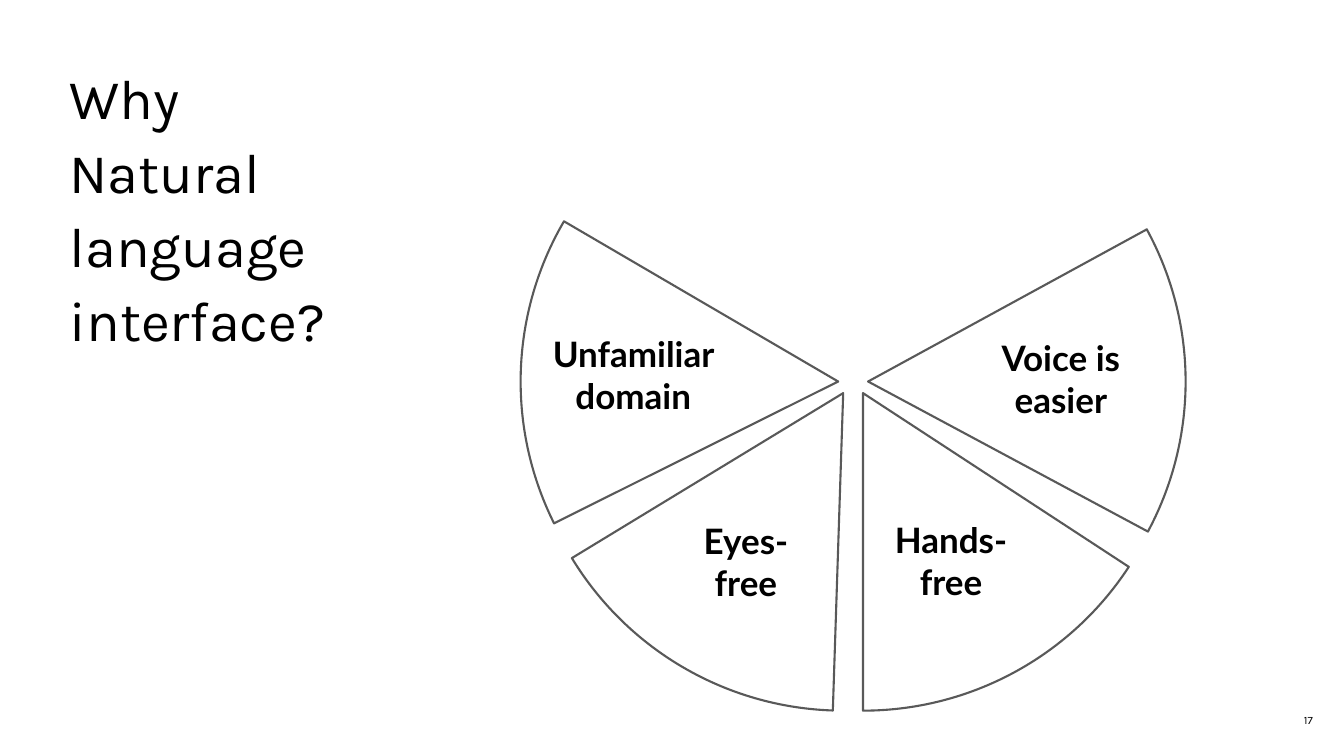
"""Build the slide on the reasons for a natural language interface."""
import pptx
import pptx.dml.color
import pptx.enum.shapes
import pptx.enum.text
import pptx.util

ALIGN = pptx.enum.text.PP_ALIGN
ANCHOR = pptx.enum.text.MSO_ANCHOR
CELL = pptx.util.Inches(15) / 45
DIAMETER = 37.8
HUB = 50.78
INK, OUTLINE = "000000", "595959"
WEDGE_ANGLES = (127.9, 162)

# Rotation, offset of the wedge centre from the hub, its row, label, label box
REASONS = [
    (300.3, -0.89, 22.71, "Unfamiliar domain", (32.46, 19.8, 10.47)),
    (238.7, -0.59, 23.4, "Eyes-free", (40.32, 30.93, 8.16)),
    (180, 0.59, 23.4, "Hands-free", (51.69, 30.87, 9.84)),
    (118.2, 0.89, 22.71, "Voice is easier", (58.23, 20.04, 9.84)),
]


def grid(*cells):
    """Turn numbers of grid cells into slide lengths."""
    return [pptx.util.Emu(round(cell * CELL)) for cell in cells]


def colour(code):
    """Return the colour for a hex string."""
    return pptx.dml.color.RGBColor.from_string(code)


def add_text(slide, box, lines, size, font, align=ALIGN.LEFT, bold=False):
    """Add one paragraph in a box without margins and return its box and paragraph."""
    text_box = slide.shapes.add_textbox(*grid(*box))
    frame = text_box.text_frame
    frame.word_wrap = True
    frame.margin_left = frame.margin_right = 0
    frame.margin_top = frame.margin_bottom = 0
    paragraph = frame.paragraphs[0]
    paragraph.alignment = align
    for index, line in enumerate(lines):
        if index:
            paragraph.add_line_break()
        run = paragraph.add_run()
        run.text = line
        run.font.size = pptx.util.Pt(size)
        run.font.name = font
        run.font.bold = bold
        run.font.color.rgb = colour(INK)
    return frame, paragraph


def add_wedge(slide, rotation, offset, row):
    """Add an outlined pie wedge centred near the hub."""
    radius = DIAMETER / 2
    wedge = slide.shapes.add_shape(
        pptx.enum.shapes.MSO_SHAPE.PIE,
        *grid(HUB + offset - radius, row - radius, DIAMETER, DIAMETER))
    for index, angle in enumerate(WEDGE_ANGLES):
        wedge.adjustments[index] = angle
    wedge.rotation = rotation
    wedge.shadow.inherit = False
    wedge.fill.background()
    wedge.line.color.rgb = colour(OUTLINE)
    wedge.line.width = pptx.util.Pt(3)


def add_label(slide, label, place):
    """Add the bold name of a reason."""
    paragraph = add_text(slide, (*place, 5.37), [label], 50, "Lato",
                         ALIGN.CENTER, True)[1]
    paragraph.space_before = pptx.util.Pt(29)


def add_title(slide):
    """Add the question that the slide answers."""
    paragraph = add_text(slide, (4.14, 3.39, 16.23, 15),
                         ["Why", "Natural language interface?"], 80, "Karla")[1]
    paragraph.line_spacing = 1.1


def add_page_number(slide):
    """Add the page number in the lower right corner."""
    frame = add_text(slide, (77.25, 42.45, 0.9, 0.81), ["17"], 16, "Karla",
                     ALIGN.RIGHT)[0]
    frame.word_wrap = False
    frame.vertical_anchor = ANCHOR.MIDDLE


def main():
    """Build and save the slide."""
    deck = pptx.Presentation()
    deck.slide_width, deck.slide_height = grid(80, 45)
    slide = deck.slides.add_slide(deck.slide_layouts[6])
    add_title(slide)
    add_page_number(slide)
    for rotation, offset, row, label, place in REASONS:
        add_wedge(slide, rotation, offset, row)
        add_label(slide, label, place)
    deck.save("out.pptx")


if __name__ == "__main__":
    main()
